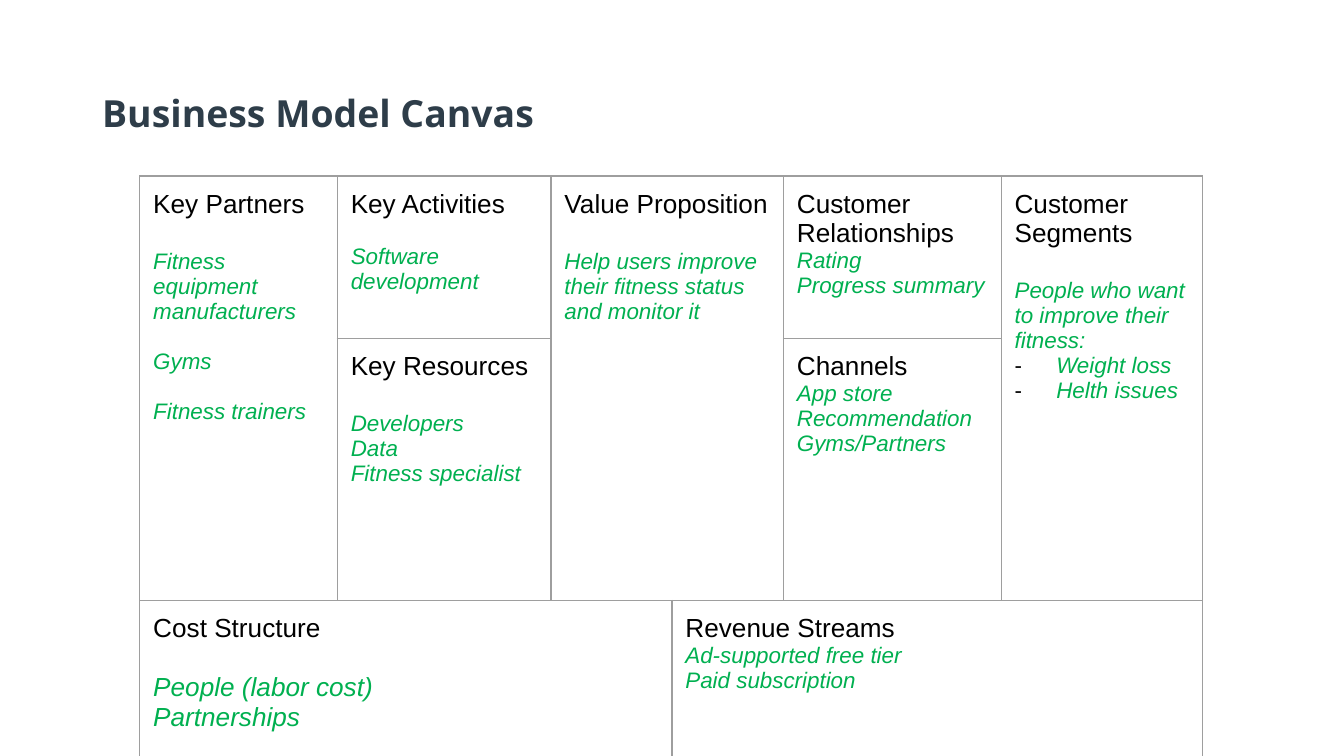
from lxml import etree
from pptx import Presentation
from pptx.dml.color import RGBColor
from pptx.enum.text import MSO_ANCHOR, MSO_AUTO_SIZE, PP_ALIGN
from pptx.oxml.ns import qn
from pptx.util import Inches, Pt

MIDDLE = MSO_ANCHOR.MIDDLE
NO_FIT = MSO_AUTO_SIZE.NONE
LEFT = PP_ALIGN.LEFT
TITLE_ONLY = 5

PAGE_WIDTH = 10
PAGE_HEIGHT = PAGE_WIDTH * 9 / 16
BLACK, GREEN, NAVY, GREY = "000000", "00B050", "2E3D49", "9E9E9E"
COLUMN_WIDTHS = [1.47, 1.59, 0.9, 0.83, 1.62, 1.5]
ROW_HEIGHT = 1.21
ROW_COUNT = 3
SMALL_GAP, LARGE_GAP = 13.5, 16
INSET = Inches(0.1)

BLOCKS = [
    (0, 0, 2, 1, "Key Partners", LARGE_GAP, 12,
     ["Fitness equipment manufacturers", ("Gyms", SMALL_GAP), ("Fitness trainers", SMALL_GAP)]),
    (0, 1, 1, 1, "Key Activities", SMALL_GAP, 12, ["Software development"]),
    (0, 2, 2, 2, "Value Proposition", LARGE_GAP, 12,
     ["Help users improve their fitness status and monitor it"]),
    (0, 4, 1, 1, "Customer Relationships", 0, 12, ["Rating", "Progress summary"]),
    (0, 5, 2, 1, "Customer Segments", LARGE_GAP, 12,
     ["People who want to improve their fitness:", "- Weight loss", "- Helth issues"]),
    (1, 1, 1, 1, "Key Resources", LARGE_GAP, 12, ["Developers", "Data", "Fitness specialist"]),
    (1, 4, 1, 1, "Channels", 0, 12, ["App store", "Recommendation", "Gyms/Partners"]),
    (2, 0, 1, 3, "Cost Structure", LARGE_GAP, 14, ["People (labor cost)", "Partnerships"]),
    (2, 3, 1, 3, "Revenue Streams", 0, 12, ["Ad-supported free tier", "Paid subscription"]),
]


def rgb(value):
    return RGBColor.from_string(value)


def write(para, text, size=14, color=BLACK, font="Arial", bold=False, italic=False, before=0):
    para.alignment = LEFT
    para.space_before = Pt(before)
    span = para.add_run()
    span.text = text
    span.font.name = font
    span.font.size = Pt(size)
    span.font.bold = bold
    span.font.italic = italic
    span.font.color.rgb = rgb(color)


def add_dash(para):
    props = para._p.get_or_add_pPr()
    props.set("marL", str(Inches(0.31)))
    props.set("indent", str(-Inches(0.31)))
    tint = etree.SubElement(props, qn("a:buClr"))
    etree.SubElement(tint, qn("a:srgbClr"), val=BLACK)
    etree.SubElement(props, qn("a:buFont"), typeface="Arial")
    etree.SubElement(props, qn("a:buChar"), char="-")


def set_insets(target):
    target.margin_left = target.margin_right = INSET
    target.margin_top = target.margin_bottom = INSET


def style_cell(cell):
    cell.fill.background()
    set_insets(cell)
    props = cell._tc.get_or_add_tcPr()
    for position, side in enumerate(("a:lnL", "a:lnR", "a:lnT", "a:lnB")):
        line = etree.Element(qn(side), w=str(Pt(0.75)))
        fill = etree.SubElement(line, qn("a:solidFill"))
        etree.SubElement(fill, qn("a:srgbClr"), val=GREY)
        props.insert(position, line)


def fill_block(cell, heading, gap, size, notes):
    frame = cell.text_frame
    write(frame.paragraphs[0], heading)
    for index, note in enumerate(notes):
        text, before = note if isinstance(note, tuple) else (note, 0)
        para = frame.add_paragraph()
        write(para, text.removeprefix("- "), size=size, color=GREEN, italic=True,
              before=before if index else gap)
        if text.startswith("- "):
            add_dash(para)


def add_title(page, left, top, width, height):
    title = page.shapes.title
    title.left, title.top = Inches(left), Inches(top)
    title.width, title.height = Inches(width), Inches(height)
    frame = title.text_frame
    frame.word_wrap = True
    frame.auto_size = NO_FIT
    frame.vertical_anchor = MIDDLE
    set_insets(frame)
    write(frame.paragraphs[0], "Business Model Canvas", size=20, color=NAVY,
          font="Open Sans", bold=True)


def add_canvas(page, left, top):
    holder = page.shapes.add_table(
        ROW_COUNT, len(COLUMN_WIDTHS), Inches(left), Inches(top),
        Inches(sum(COLUMN_WIDTHS)), Inches(ROW_HEIGHT * ROW_COUNT))
    table = holder.table
    table.first_row = table.horz_banding = False
    for column, width in zip(table.columns, COLUMN_WIDTHS):
        column.width = Inches(width)
    for row in table.rows:
        row.height = Inches(ROW_HEIGHT)
    for cell in table.iter_cells():
        style_cell(cell)
    for row, column, down, across, *content in BLOCKS:
        cell = table.cell(row, column)
        if down * across > 1:
            cell.merge(table.cell(row + down - 1, column + across - 1))
        fill_block(cell, *content)


def main():
    deck = Presentation()
    deck.slide_width, deck.slide_height = Inches(PAGE_WIDTH), Inches(PAGE_HEIGHT)
    page = deck.slides.add_slide(deck.slide_layouts[TITLE_ONLY])
    add_title(page, 0.66, 0.52, 8.68, 0.63)
    add_canvas(page, 1.04, 1.31)
    deck.save("out.pptx")


if __name__ == "__main__":
    main()
